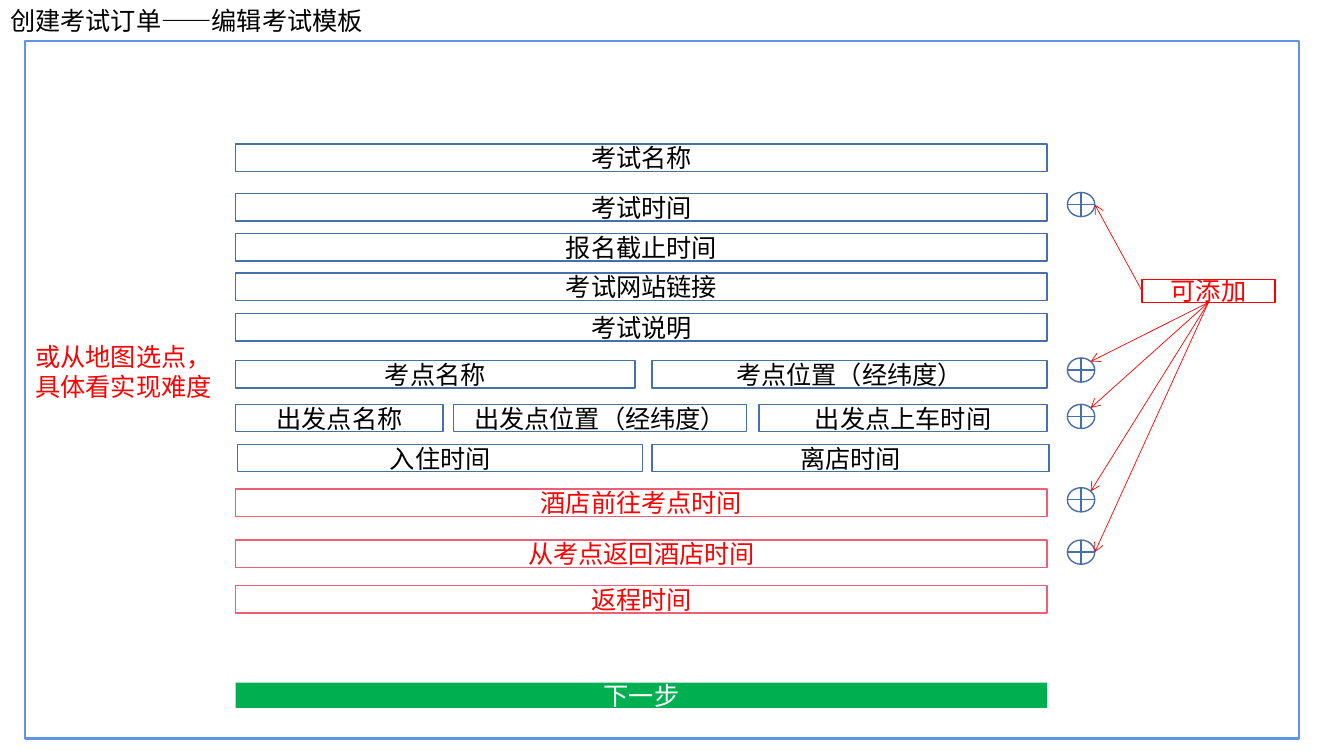
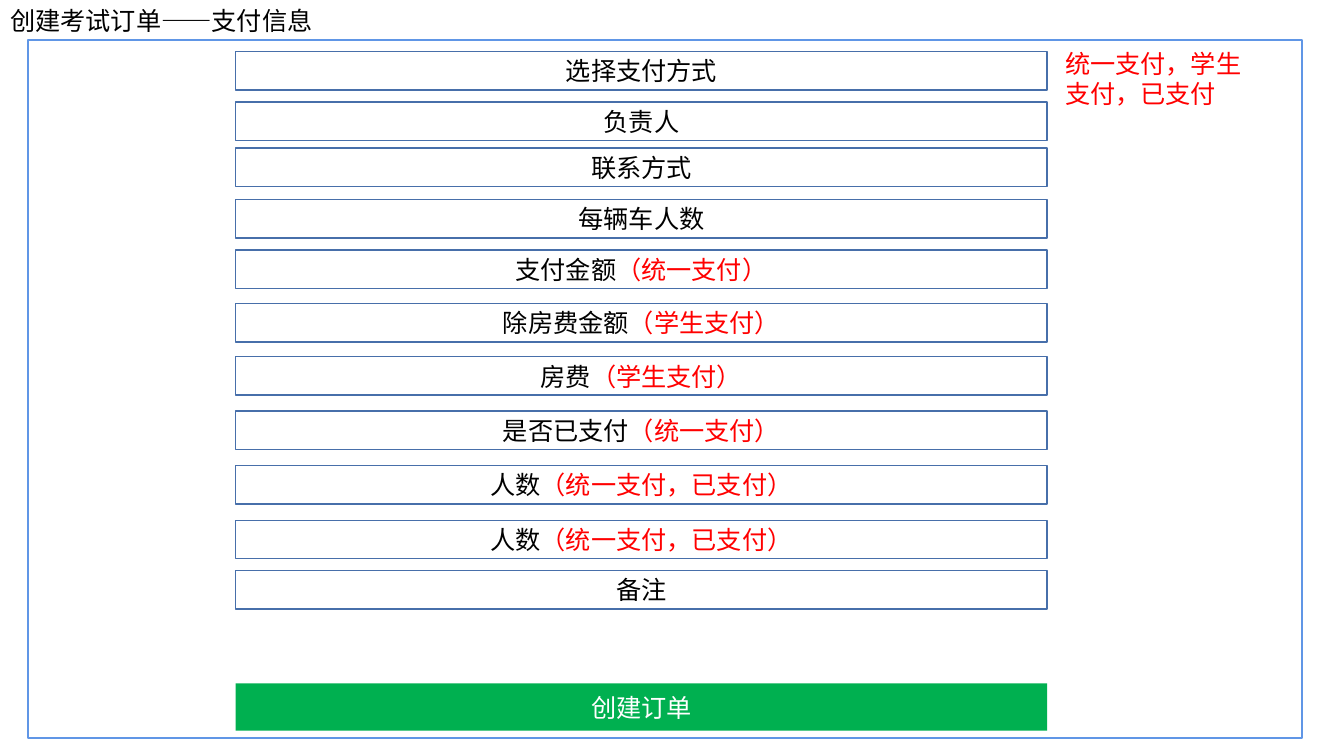
from dataclasses import dataclass
from lxml.etree import SubElement
from pptx import Presentation
from pptx.dml.color import RGBColor
from pptx.enum.shapes import MSO_CONNECTOR, MSO_SHAPE
from pptx.enum.text import MSO_ANCHOR, MSO_AUTO_SIZE, PP_ALIGN
from pptx.oxml.ns import qn
from pptx.util import Cm, Pt


@dataclass(frozen=True)
class Theme:
    """Colours, type and line widths shared by the slides."""
    font: str = "Arial"
    size: float = 18
    ink: str = "000000"
    white: str = "FFFFFF"
    red: str = "FF0000"
    rose: str = "EC5F74"
    blue: str = "476FAA"
    frame: str = "6096E6"
    green: str = "00B050"
    frame_width: float = 1.5
    box_width: float = 1
    arrow_width: float = 0.5


COLUMN_LEFT, COLUMN_WIDTH = 5.94, 20.45
PLUS_LEFT, PLUS_WIDTH, PLUS_HEIGHT = 26.9, 0.69, 0.61


class Wireframe:
    """Draws form wireframes on the current slide; lengths are in cm."""

    def __init__(self, theme):
        """Open an empty widescreen deck."""
        self.theme = theme
        self.deck = Presentation()
        self.deck.slide_width, self.deck.slide_height = Cm(33.87), Cm(19.05)
        self.slide = None

    def set_text(self, text_frame, parts, colors, align):
        """Set the parts as runs of one paragraph, each in its colour."""
        paragraph = text_frame.paragraphs[0]
        paragraph.alignment = align
        for part, color in zip(parts, colors):
            run = paragraph.add_run()
            run.text = part
            run.font.name = self.theme.font
            run.font.size = Pt(self.theme.size)
            run.font.color.rgb = RGBColor.from_string(color)

    def page(self, heading, heading_width, frame_left, frame_top):
        """Start a slide with its heading and outer frame."""
        self.slide = self.deck.slides.add_slide(self.deck.slide_layouts[5])
        title = self.slide.shapes.title
        title.left, title.top = Cm(0), Cm(0)
        title.width, title.height = Cm(heading_width), Cm(1.02)
        title.text_frame.word_wrap = False
        title.text_frame.auto_size = MSO_AUTO_SIZE.NONE
        title.text_frame.vertical_anchor = MSO_ANCHOR.TOP
        self.set_text(title.text_frame, [heading], [self.theme.ink], PP_ALIGN.LEFT)
        self.shape(MSO_SHAPE.RECTANGLE, (frame_left, frame_top, 32.1, 17.57),
                   line=self.theme.frame, line_width=self.theme.frame_width)

    def shape(self, preset, area, line=None, fill=None, line_width=None):
        """Add a flat preset shape; no colour means no line or no fill."""
        shape = self.slide.shapes.add_shape(preset, *map(Cm, area))
        shape.shadow.inherit = False
        if fill:
            shape.fill.solid()
            shape.fill.fore_color.rgb = RGBColor.from_string(fill)
        else:
            shape.fill.background()
        if line:
            shape.line.color.rgb = RGBColor.from_string(line)
            shape.line.width = Pt(line_width or self.theme.box_width)
        else:
            shape.line.fill.background()
        return shape

    def box(self, area, parts, colors, line=None, fill=None):
        """Add a rectangle with centred text."""
        box = self.shape(MSO_SHAPE.RECTANGLE, area, line, fill)
        box.text_frame.vertical_anchor = MSO_ANCHOR.MIDDLE
        self.set_text(box.text_frame, parts, colors, PP_ALIGN.CENTER)

    def field(self, top, height, label, hint="", left=COLUMN_LEFT, width=COLUMN_WIDTH):
        """Add an input field, with an optional red hint."""
        parts = [label, hint] if hint else [label]
        self.box((left, top, width, height), parts,
                 (self.theme.ink, self.theme.red), line=self.theme.blue)

    def pending_field(self, top, height, label):
        """Add a field in red, still under discussion."""
        self.box((COLUMN_LEFT, top, COLUMN_WIDTH, height), [label],
                 [self.theme.red], self.theme.rose, self.theme.white)

    def button(self, top, height, label):
        """Add the green action button."""
        self.box((COLUMN_LEFT, top, COLUMN_WIDTH, height), [label],
                 [self.theme.white], fill=self.theme.green)

    def note(self, left, top, text):
        """Add a red remark that wraps in its box."""
        note = self.slide.shapes.add_textbox(Cm(left), Cm(top), Cm(5.33), Cm(1.8))
        note.text_frame.word_wrap = True
        self.set_text(note.text_frame, [text], [self.theme.red], PP_ALIGN.LEFT)

    def plus(self, top):
        """Add the round plus sign beside a field."""
        self.shape(MSO_SHAPE.FLOWCHART_OR, (PLUS_LEFT, top, PLUS_WIDTH, PLUS_HEIGHT),
                   self.theme.blue)

    def arrow(self, start, end):
        """Add a thin red arrow between two points."""
        arrow = self.slide.shapes.add_connector(
            MSO_CONNECTOR.STRAIGHT, *map(Cm, (*start, *end)))
        arrow.line.color.rgb = RGBColor.from_string(self.theme.red)
        arrow.line.width = Pt(self.theme.arrow_width)
        properties = arrow._element.spPr
        SubElement(properties.find(qn("a:ln")), qn("a:tailEnd"), type="arrow")
        SubElement(properties, qn("a:effectLst"))


def exam_template(form):
    """Build the slide for editing the exam template."""
    form.page("创建考试订单——编辑考试模板", 9.4, 0.64, 1.04)
    row_height = 0.69
    for top, label in ((3.63, "考试名称"), (4.88, "考试时间"), (5.89, "报名截止时间"),
                       (6.88, "考试网站链接"), (7.9, "考试说明")):
        form.field(top, row_height, label)
    split_rows = {
        9.09: (("考点名称", 5.94, 10.06), ("考点位置（经纬度）", 16.43, 9.96)),
        10.19: (("出发点名称", 5.94, 5.23), ("出发点位置（经纬度）", 11.43, 7.39),
                ("出发点上车时间", 19.13, 7.26)),
        11.2: (("入住时间", 5.99, 10.21), ("离店时间", 16.43, 10.01)),
    }
    for top, cells in split_rows.items():
        for label, left, width in cells:
            form.field(top, row_height, label, left=left, width=width)
    for top, label in ((12.32, "酒店前往考点时间"), (13.61, "从考点返回酒店时间"),
                       (14.76, "返程时间")):
        form.pending_field(top, row_height, label)
    form.button(17.2, 0.64, "下一步")
    form.note(0.64, 8.48, "或从地图选点，具体看实现难度")

    theme = form.theme
    left, top, width, height = addable = (28.78, 7.04, 3.35, 0.58)
    form.box(addable, ["可添加"], [theme.red], line=theme.red)
    left_side = (left, top + height / 2)
    bottom = (left + width / 2, top + height)
    right_edge, upper_right = (1, 0.5), (0.85, 0.15)
    for plus_top, start, site in ((4.85, left_side, right_edge), (9.02, bottom, upper_right),
                                  (10.19, bottom, upper_right), (12.29, bottom, upper_right),
                                  (13.61, bottom, right_edge)):
        form.plus(plus_top)
        form.arrow(start, (PLUS_LEFT + PLUS_WIDTH * site[0],
                           plus_top + PLUS_HEIGHT * site[1]))


def payment_details(form):
    """Build the slide for the payment details."""
    form.page("创建考试订单——支付信息", 8.13, 0.71, 1.02)
    together, by_student = "（统一支付）", "（学生支付）"
    paid = "（统一支付，已支付）"
    for top, label, hint in (
            (1.3, "选择支付方式", ""), (2.57, "负责人", ""), (3.73, "联系方式", ""),
            (5.03, "每辆车人数", ""), (6.3, "支付金额", together),
            (7.65, "除房费金额", by_student), (8.99, "房费", by_student),
            (10.36, "是否已支付", together), (11.73, "人数", paid),
            (13.11, "人数", paid), (14.38, "备注", "")):
        form.field(top, 0.97, label, hint)
    form.button(17.22, 1.19, "创建订单")
    form.note(26.59, 1.09, "统一支付，学生支付，已支付")


wireframe = Wireframe(Theme())
exam_template(wireframe)
payment_details(wireframe)
wireframe.deck.save("out.pptx")
